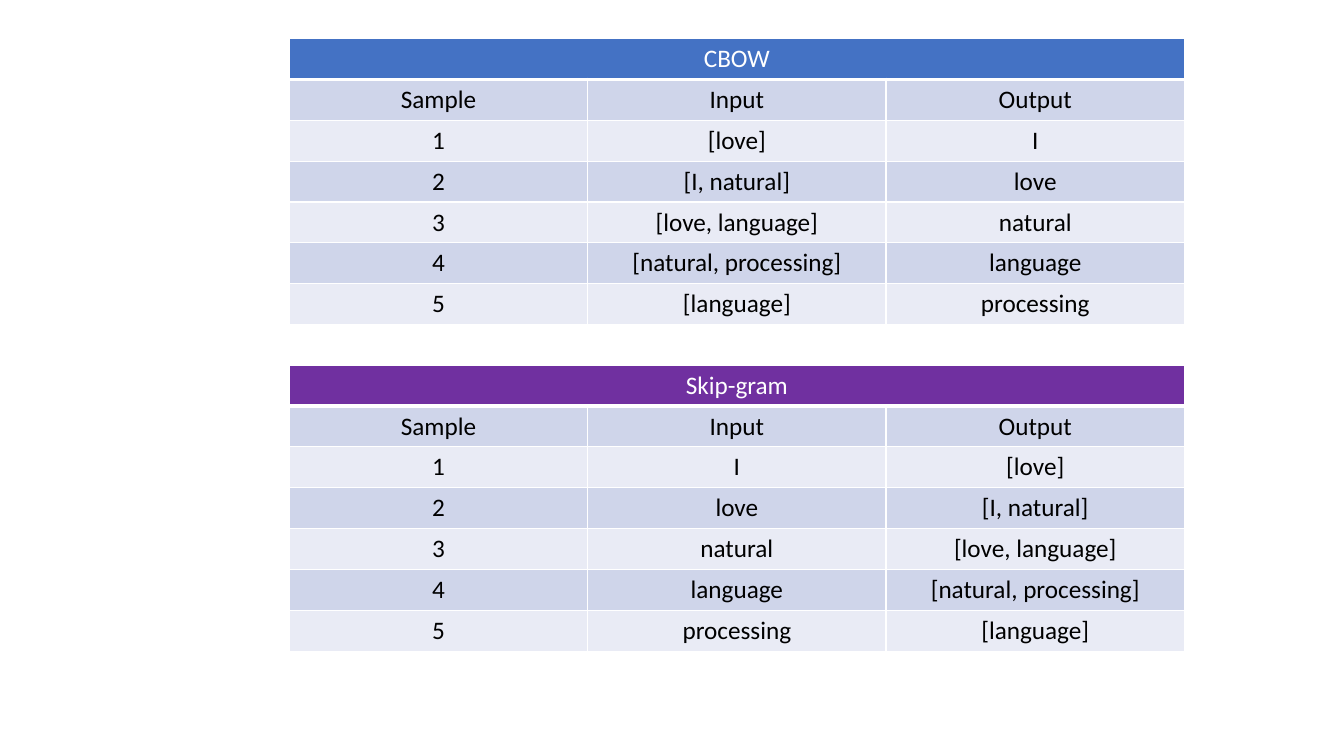
from dataclasses import dataclass

from lxml.etree import SubElement
from pptx import Presentation
from pptx.dml.color import RGBColor
from pptx.enum.text import MSO_ANCHOR, PP_ALIGN
from pptx.oxml.ns import qn
from pptx.slide import Slide
from pptx.table import _Cell
from pptx.util import Cm, Pt


@dataclass(frozen=True)
class Theme:
    font: str = "Calibri"
    text_size: int = 18
    light_text: str = "FFFFFF"
    dark_text: str = "000000"
    border: str = "FFFFFF"
    cbow: str = "4472C4"
    skip_gram: str = "7030A0"
    bands: tuple[str, str] = ("CFD5EA", "E9EBF5")


@dataclass(frozen=True)
class SampleTable:
    heading: str
    color: str
    top: float
    pairs: list[tuple[str, str]]


THEME = Theme()
LEFT, COLUMN_WIDTH, ROW_HEIGHT = 7.29, 7.52, 1.03
COLUMNS = ("Sample", "Input", "Output")

CONTEXTS = [
    ("[love]", "I"),
    ("[I, natural]", "love"),
    ("[love, language]", "natural"),
    ("[natural, processing]", "language"),
    ("[language]", "processing"),
]
SAMPLE_TABLES = [
    SampleTable("CBOW", THEME.cbow, 0.97, CONTEXTS),
    SampleTable("Skip-gram", THEME.skip_gram, 9.2, [(word, context) for context, word in CONTEXTS]),
]


def draw_borders(cell: _Cell, bottom_width: float) -> None:
    properties = cell._tc.get_or_add_tcPr()
    for side, width in {"lnL": 1, "lnR": 1, "lnT": 1, "lnB": bottom_width}.items():
        line = SubElement(properties, qn(f"a:{side}"), w=str(Pt(width)))
        fill = SubElement(line, qn("a:solidFill"))
        SubElement(fill, qn("a:srgbClr"), val=THEME.border)


def format_cell(cell: _Cell, text: str, fill: str, color: str, bottom_width: float = 1) -> None:
    draw_borders(cell, bottom_width)
    cell.fill.solid()
    cell.fill.fore_color.rgb = RGBColor.from_string(fill)
    cell.vertical_anchor = MSO_ANCHOR.TOP
    paragraph = cell.text_frame.paragraphs[0]
    paragraph.alignment = PP_ALIGN.CENTER
    if not text:
        return
    run = paragraph.add_run()
    run.text = text
    font_format = {"name": THEME.font, "size": Pt(THEME.text_size), "bold": False}
    for attribute, value in font_format.items():
        setattr(run.font, attribute, value)
    run.font.color.rgb = RGBColor.from_string(color)


def draw_sample_table(slide: Slide, sample_table: SampleTable) -> None:
    samples = [(str(number), *pair) for number, pair in enumerate(sample_table.pairs, 1)]
    body = [COLUMNS, *samples]
    row_count = len(body) + 1
    grid = slide.shapes.add_table(
        row_count, len(COLUMNS), Cm(LEFT), Cm(sample_table.top),
        Cm(COLUMN_WIDTH * len(COLUMNS)), Cm(ROW_HEIGHT * row_count),
    ).table
    for column in grid.columns:
        column.width = Cm(COLUMN_WIDTH)
    for row in grid.rows:
        row.height = Cm(ROW_HEIGHT)

    grid.cell(0, 0).merge(grid.cell(0, len(COLUMNS) - 1))
    for column_index, text in enumerate((sample_table.heading, "", "")):
        format_cell(grid.cell(0, column_index), text, sample_table.color, THEME.light_text, 3)
    for row_index, texts in enumerate(body):
        band = THEME.bands[row_index % 2]
        for column_index, text in enumerate(texts):
            format_cell(grid.cell(row_index + 1, column_index), text, band, THEME.dark_text)


def main() -> None:
    presentation = Presentation()
    presentation.slide_width = Cm(33.87)
    presentation.slide_height = Cm(19.05)
    slide = presentation.slides.add_slide(presentation.slide_layouts[6])
    for sample_table in SAMPLE_TABLES:
        draw_sample_table(slide, sample_table)
    presentation.save("out.pptx")


if __name__ == "__main__":
    main()
